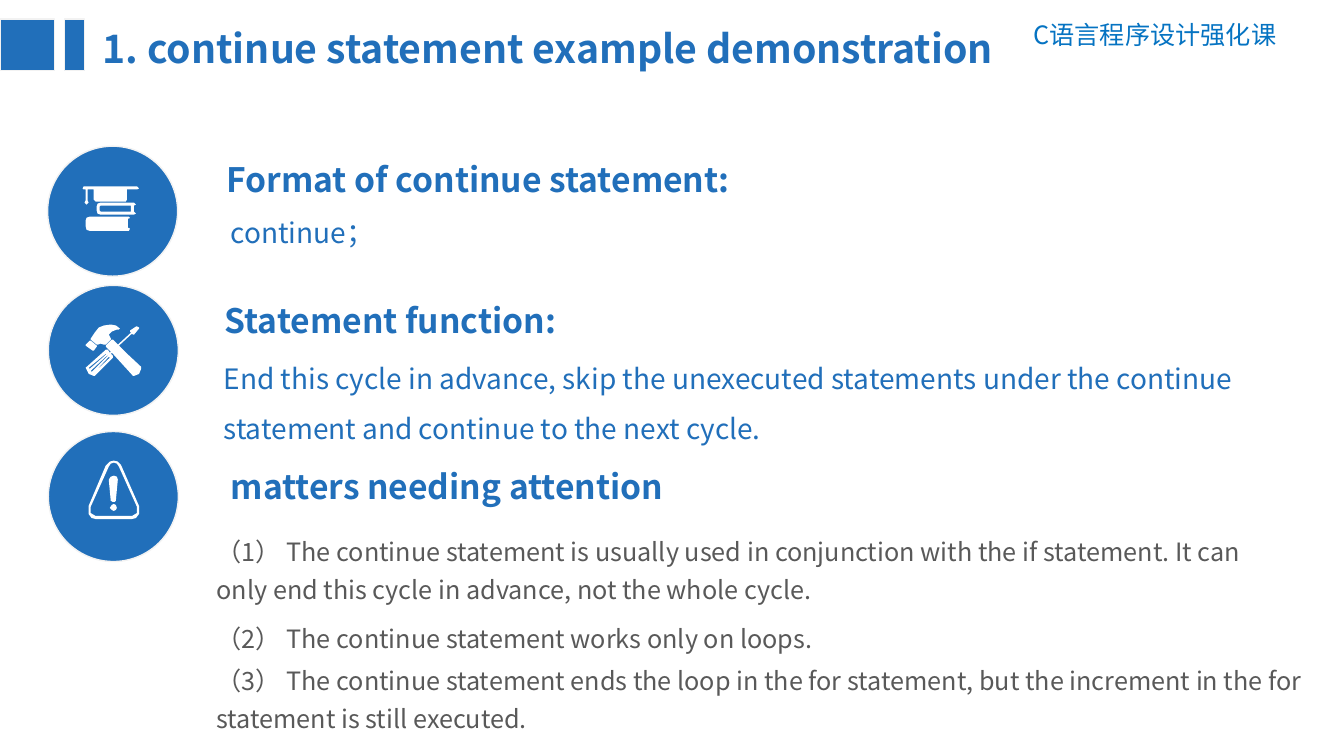
from pptx import Presentation
from pptx.dml.color import RGBColor
from pptx.enum.shapes import MSO_SHAPE
from pptx.enum.text import MSO_ANCHOR, MSO_AUTO_SIZE, PP_ALIGN
from pptx.util import Pt

COLORS = {"blue": "216FBA", "header": "0573C2", "gray": "595959",
          "edge": "F2F2F2", "white": "FFFFFF"}
FONT = "Noto Sans CJK SC"
ICON_UNIT = Pt(0.72)
BADGE_SIZE = 92.9

CAP_AND_BOOKS = [
    [(47, 42), (46, 44), (7, 44), (4, 43), (3, 39), (3, 34), (4, 31), (7, 30),
     (46, 30), (47, 31), (46, 32), (45, 32), (45, 41), (46, 41)],
    [(53, 27), (51, 28), (18, 28), (15, 27), (14, 24), (14, 20), (15, 17),
     (18, 16), (51, 16), (53, 18), (51, 19), (51, 25)],
    [(18, 25), (48, 25), (48, 19), (18, 19), (17, 20), (17, 24)],
    [(54, 0), (1, 0), (0, 2), (1, 3), (3, 3), (3, 14), (2, 16), (4, 18),
     (6, 16), (5, 14), (5, 3), (11, 3), (11, 13), (13, 15), (43, 15),
     (44, 13), (44, 3), (54, 3), (56, 2)],
]
HAMMER_AND_SCREWDRIVER = [
    [(23, 32), (8, 48), (24, 33)],
    [(21, 31), (5, 46), (6, 47), (22, 31)],
    [(20, 29), (3, 43), (4, 44), (20, 30)],
    [(4, 16), (5, 16), (11, 21), (11, 22), (8, 26), (7, 26), (0, 21), (0, 20)],
    [(50, 2), (51, 2), (53, 3), (53, 4), (48, 10), (47, 10), (46, 9), (33, 21),
     (40, 28), (55, 42), (55, 44), (53, 49), (48, 51), (47, 51), (26, 28),
     (25, 29), (27, 31), (27, 33), (9, 51), (8, 51), (3, 49), (0, 43), (1, 42),
     (20, 25), (22, 25), (24, 28), (25, 27), (20, 22), (20, 21), (26, 15),
     (27, 15), (32, 20), (45, 8), (44, 7), (44, 6)],
    [(25, 0), (30, 1), (34, 4), (33, 5), (31, 5), (26, 7), (23, 10), (25, 14),
     (25, 15), (20, 20), (18, 20), (15, 19), (12, 20), (11, 20), (5, 15),
     (5, 14), (9, 8), (13, 3), (18, 1)],
]
WARNING_SIGN = [
    [(27, 43), (29, 44), (30, 47), (29, 49), (27, 50), (25, 49), (23, 47), (25, 44)],
    [(27, 15), (30, 16), (31, 19), (29, 40), (28, 41), (26, 41), (24, 40),
     (22, 19), (24, 16)],
    [(27, 2), (24, 3), (22, 6), (4, 46), (4, 52), (9, 55), (45, 55), (50, 52),
     (50, 46), (32, 6), (30, 3)],
    [(27, 0), (31, 1), (34, 4), (52, 45), (52, 53), (49, 57), (45, 58), (9, 58),
     (5, 57), (2, 53), (2, 45), (19, 5), (23, 1)],
]
BADGES = [
    (34, 104.4, CAP_AND_BOOKS, 59, 133.2),
    (34.5, 203.8, HAMMER_AND_SCREWDRIVER, 61.2, 231.8),
    (34.5, 308.2, WARNING_SIGN, 61.9, 329),
]
HEADINGS = [
    ("Format of continue statement:", 154.8, 103, 544),
    ("Statement function:", 153.4, 203.8, 391),
    ("matters needing attention", 157.7, 321.8, 541),
]
EXPLANATIONS = [
    ("continue；", 157.7, 138.2, 467, 39.6),
    ("End this cycle in advance, skip the unexecuted statements under the continue "
     "statement and continue to the next cycle.", 152.6, 242.6, 746, 75.6),
]
NOTES = [
    ("（1） The continue statement is usually used in conjunction with the if statement. "
     "It can only end this cycle in advance, not the whole cycle.", 374.4, 768, 59),
    ("（2） The continue statement works only on loops.", 436.3, 598, 32.4),
    ("（3） The continue statement ends the loop in the for statement, but the increment "
     "in the for statement is still executed.", 466.6, 812, 59),
]


def write(frame, text, size, leading, color="blue", bold=False, align=PP_ALIGN.LEFT):
    """Fill a text frame with one formatted paragraph."""
    frame.word_wrap = True
    frame.auto_size = MSO_AUTO_SIZE.SHAPE_TO_FIT_TEXT
    frame.vertical_anchor = MSO_ANCHOR.TOP
    paragraph = frame.paragraphs[0]
    paragraph.alignment = align
    paragraph.line_spacing = Pt(leading)
    paragraph.space_before = Pt(0)
    run = paragraph.add_run()
    run.text = text
    run.font.name = FONT
    run.font.size = Pt(size)
    run.font.bold = bold
    run.font.color.rgb = RGBColor.from_string(COLORS[color])


def add_text(slide, text, left, top, width, height, **style):
    """Add a text box placed in points."""
    box = slide.shapes.add_textbox(Pt(left), Pt(top), Pt(width), Pt(height))
    write(box.text_frame, text, **style)


def add_title(slide, text):
    """Place and fill the title placeholder."""
    title = slide.shapes.title
    title.left, title.top, title.width, title.height = Pt(66.2), Pt(12.2), Pt(700), Pt(41)
    write(title.text_frame, text, size=28, leading=35, bold=True)


def add_blue_shape(shapes, kind, left, top, width, height):
    """Add a blue preset shape with a pale edge."""
    shape = shapes.add_shape(kind, Pt(left), Pt(top), Pt(width), Pt(height))
    shape.shadow.inherit = False
    shape.fill.solid()
    shape.fill.fore_color.rgb = RGBColor.from_string(COLORS["blue"])
    shape.line.color.rgb = RGBColor.from_string(COLORS["edge"])
    shape.line.width = Pt(1)


def add_icon(shapes, contours, left, top):
    """Add a white icon made of closed contours."""
    builder = shapes.build_freeform(*contours[0][0], scale=ICON_UNIT)
    builder.add_line_segments(contours[0][1:], close=True)
    for start, *rest in contours[1:]:
        builder.move_to(*start)
        builder.add_line_segments(rest, close=True)
    icon = builder.convert_to_shape(Pt(left), Pt(top))
    icon.shadow.inherit = False
    icon.fill.solid()
    icon.fill.fore_color.rgb = RGBColor.from_string(COLORS["white"])
    icon.line.fill.background()


def add_badge(slide, left, top, contours, icon_left, icon_top):
    """Add a grouped blue circle with its icon."""
    group = slide.shapes.add_group_shape()
    add_blue_shape(group.shapes, MSO_SHAPE.OVAL, left, top, BADGE_SIZE, BADGE_SIZE)
    add_icon(group.shapes, contours, icon_left, icon_top)


def main():
    """Build the slide and save it."""
    deck = Presentation()
    deck.slide_width, deck.slide_height = Pt(960), Pt(540)
    slide = deck.slides.add_slide(deck.slide_layouts[5])
    add_title(slide, "1. continue statement example demonstration")
    add_text(slide, "C语言程序设计强化课", 702.7, 10.1, 216, 29,
             size=18, leading=22, color="header", align=PP_ALIGN.RIGHT)
    for left, width in [(0, 38.9), (46.1, 14.4)]:
        add_blue_shape(slide.shapes, MSO_SHAPE.RECTANGLE, left, 13.7, width, 36.7)
    for badge in BADGES:
        add_badge(slide, *badge)
    for text, left, top, width in HEADINGS:
        add_text(slide, text, left, top, width, 38.9, size=24, leading=36, bold=True)
    for text, left, top, width, height in EXPLANATIONS:
        add_text(slide, text, left, top, width, height, size=20, leading=36)
    for text, top, width, height in NOTES:
        add_text(slide, text, 147.6, top, width, height, size=18, leading=27, color="gray")
    deck.save("out.pptx")


if __name__ == "__main__":
    main()
